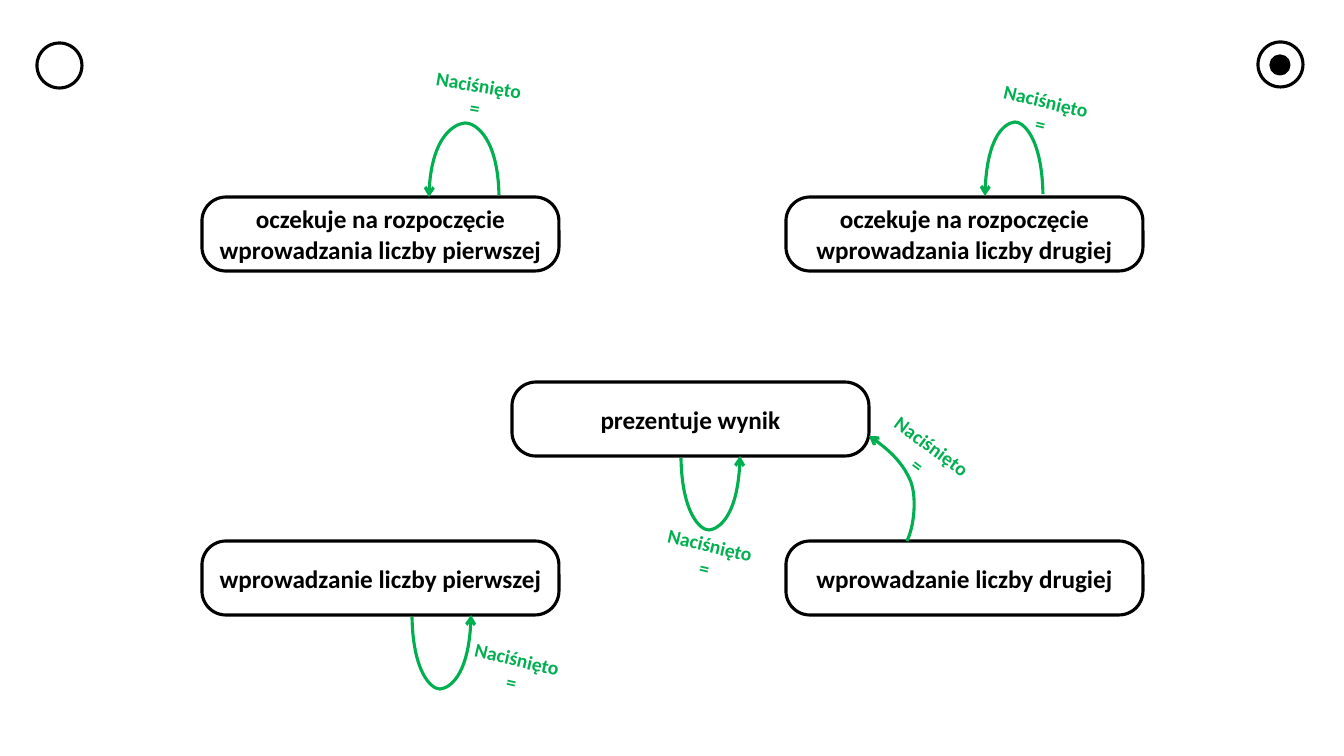
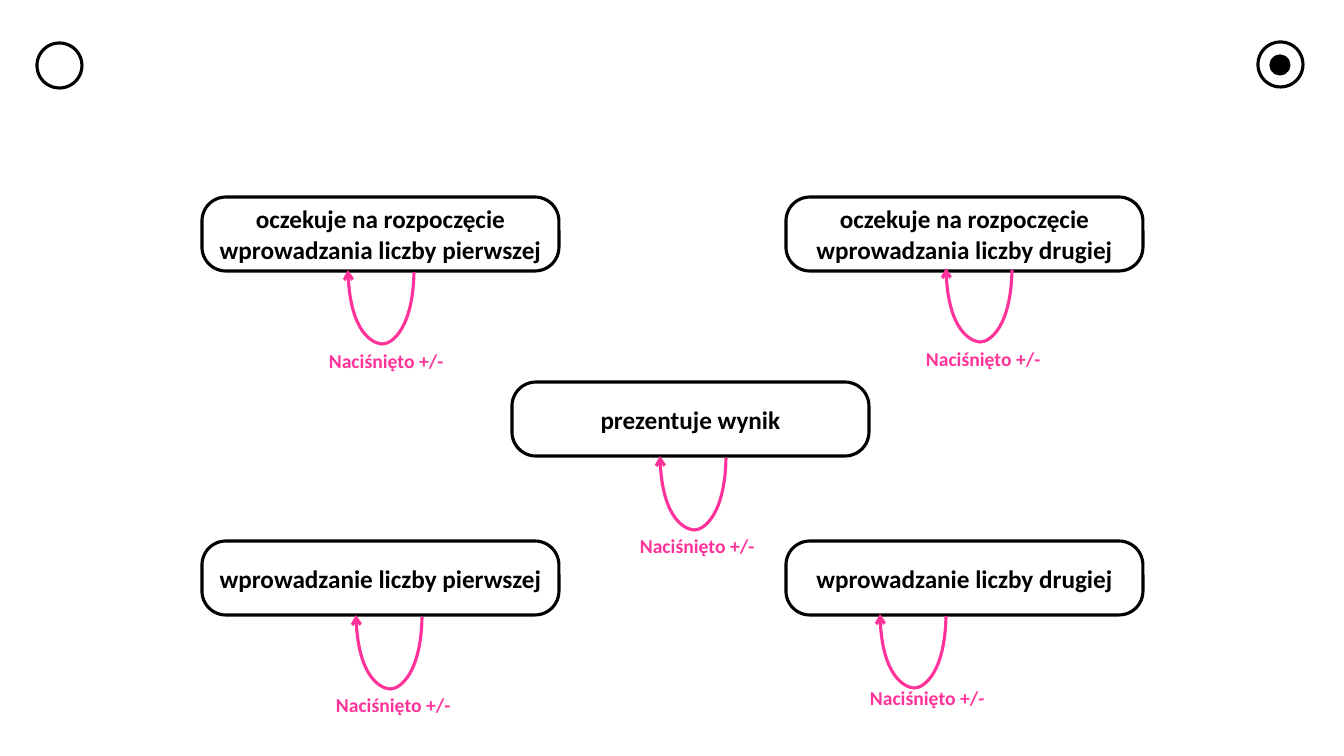
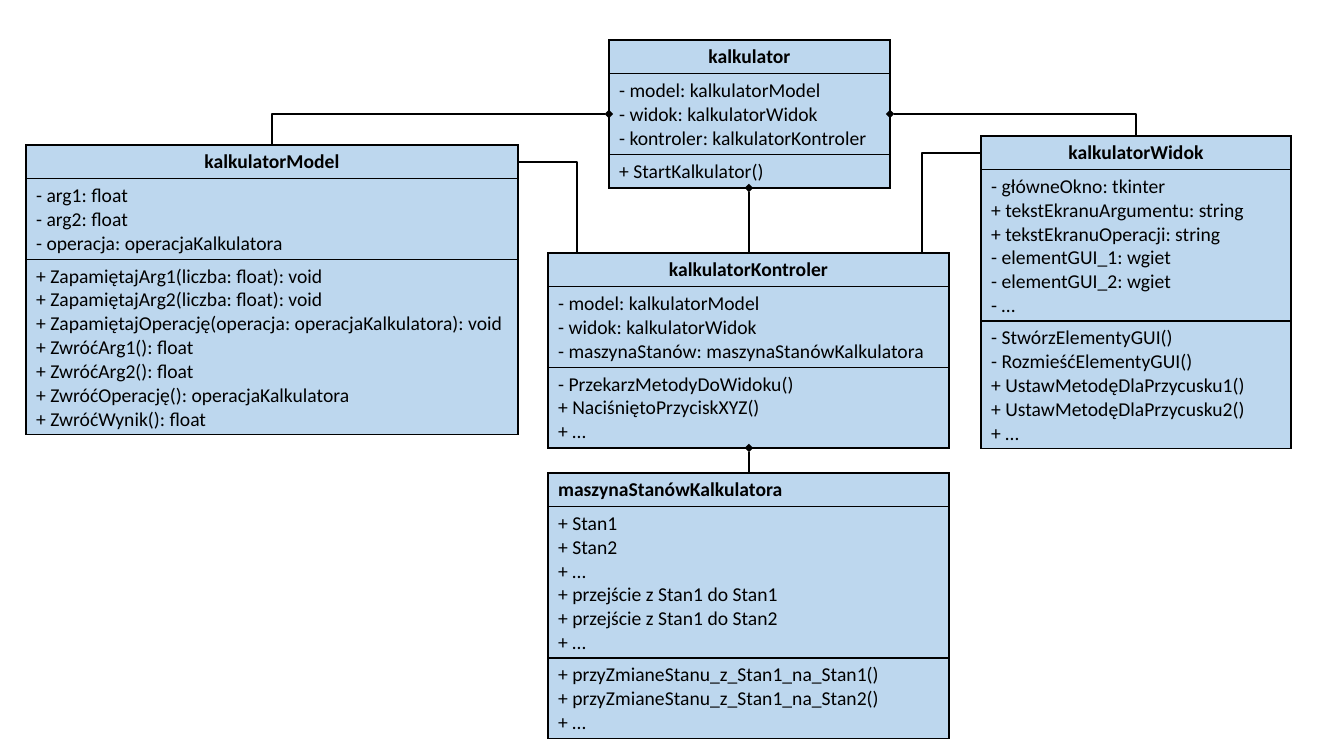
from lxml import etree
from pptx import Presentation
from pptx.dml.color import RGBColor
from pptx.enum.shapes import MSO_CONNECTOR, MSO_SHAPE
from pptx.enum.text import MSO_ANCHOR, MSO_AUTO_SIZE, PP_ALIGN
from pptx.oxml.ns import qn
from pptx.util import Emu, Pt

SCALE = 914400 / 100.8
FONT = "Calibri"
COLOURS = {"ink": "000000", "equals": "00B050", "sign": "FF3399", "class": "BDD7EE"}
ELLIPSE, ROUNDED = MSO_SHAPE.OVAL, MSO_SHAPE.ROUNDED_RECTANGLE
STRAIGHT, ELBOW = MSO_CONNECTOR.STRAIGHT, MSO_CONNECTOR.ELBOW
LEFT, CENTER = PP_ALIGN.LEFT, PP_ALIGN.CENTER
MIDDLE, GROW = MSO_ANCHOR.MIDDLE, MSO_AUTO_SIZE.SHAPE_TO_FIT_TEXT

STATE_SIZE = (357, 74)
STATES = [
    (202, 197, "oczekuje na rozpoczęcie wprowadzania liczby pierwszej"),
    (202, 541, "wprowadzanie liczby pierwszej"),
    (786, 541, "wprowadzanie liczby drugiej"),
    (786, 197, "oczekuje na rozpoczęcie wprowadzania liczby drugiej"),
    (512, 382, "prezentuje wynik"),
]
LOOP_PROFILE = [(0, 2), (0.01, 57), (0.32, 74), (0.48, 74), (0.65, 73), (0.99, 59), (1, 0)]
UP, DOWN = -1, 1

EQUALS_LOOPS = [
    (499, 429, 197, UP),
    (1043, 985, 196, UP),
    (412, 471, 615, DOWN),
    (681, 740, 456, DOWN),
]
RESULT_CURVE = [(907, 541), (914, 527), (917, 499), (911, 482), (904, 465), (888, 448), (869, 436)]
EQUALS_LABELS = [
    ((382, 68, 190, 57), 9.6),
    ((856, 427, 138, 57), 36.5),
    ((456, 642, 117, 57), 13.2),
    ((985, 84, 117, 57), 13.2),
    ((649, 528, 117, 57), 13.2),
]

SIGN_LOOP_WIDTH = 66
SIGN_LOOPS = [
    (356, 615, 326, 688),
    (880, 614, 860, 681),
    (348, 270, 319, 344),
    (660, 456, 630, 529),
    (946, 268, 916, 342),
]

CLASSES = [
    ((609, 40, 281, 148), "kalkulator", CENTER,
     ["- model: kalkulatorModel", "- widok: kalkulatorWidok",
      "- kontroler: kalkulatorKontroler"],
     ["+ StartKalkulator()"]),
    ((548, 253, 401, 195), "kalkulatorKontroler", CENTER,
     ["- model: kalkulatorModel", "- widok: kalkulatorWidok",
      "- maszynaStanów: maszynaStanówKalkulatora"],
     ["- PrzekarzMetodyDoWidoku()", "+ NaciśniętoPrzyciskXYZ()", "+ …"]),
    ((26, 145, 492, 289), "kalkulatorModel", CENTER,
     ["- arg1: float", "- arg2: float", "- operacja: operacjaKalkulatora"],
     ["+ ZapamiętajArg1(liczba: float): void", "+ ZapamiętajArg2(liczba: float): void",
      "+ ZapamiętajOperację(operacja: operacjaKalkulatora): void",
      "+ ZwróćArg1(): float", "+ ZwróćArg2(): float",
      "+ ZwróćOperację(): operacjaKalkulatora", "+ ZwróćWynik(): float"]),
    ((981, 136, 310, 313), "kalkulatorWidok", CENTER,
     ["- główneOkno: tkinter", "+ tekstEkranuArgumentu: string",
      "+ tekstEkranuOperacji: string", "- elementGUI_1: wgiet", "- elementGUI_2: wgiet", "- …"],
     ["- StwórzElementyGUI()", "- RozmieśćElementyGUI()", "+ UstawMetodęDlaPrzycusku1()",
      "+ UstawMetodęDlaPrzycusku2()", "+ …"]),
    ((548, 473, 401, 265), "maszynaStanówKalkulatora", LEFT,
     ["+ Stan1", "+ Stan2", "+ …", "+ przejście z Stan1 do Stan1",
      "+ przejście z Stan1 do Stan2", "+ …"],
     ["+ przyZmianeStanu_z_Stan1_na_Stan1()", "+ przyZmianeStanu_z_Stan1_na_Stan2()", "+ …"]),
]
RELATIONS = [
    (STRAIGHT, (749, 188, 749, 253), True),
    (ELBOW, (609, 114, 272, 145), True),
    (ELBOW, (890, 114, 1136, 136), True),
    (STRAIGHT, (749, 448, 749, 473), True),
    (ELBOW, (518, 162, 577, 253), False),
    (ELBOW, (981, 153, 922, 253), False),
]


def emu(*pixels):
    return [Emu(round(pixel * SCALE)) for pixel in pixels]


def colour(name):
    return RGBColor.from_string(COLOURS[name])


def draw_line(line, width, name="ink", **ends):
    line.width = Pt(width)
    line.fill.solid()
    line.fill.fore_color.rgb = colour(name)
    outline = line.fill._xPr
    for end, kind in ends.items():
        etree.SubElement(outline, qn(f"a:{end}"), type=kind)


def write(frame, lines, size, name="ink", bold=True, align=CENTER):
    frame.word_wrap = True
    for index, words in enumerate(lines):
        para = frame.paragraphs[0] if index == 0 else frame.add_paragraph()
        para.alignment = align
        span = para.add_run()
        span.text = words
        span.font.name = FONT
        span.font.size = Pt(size)
        span.font.bold = bold
        span.font.color.rgb = colour(name)


def add_outline(shapes, kind, box):
    shape = shapes.add_shape(kind, *emu(*box))
    shape.shadow.inherit = False
    shape.fill.background()
    draw_line(shape.line, 2.25)
    return shape


def add_state(page, left, top, words):
    state = add_outline(page.shapes, ROUNDED, (left, top, *STATE_SIZE))
    state.adjustments[0] = 0.324
    state.text_frame.vertical_anchor = MIDDLE
    write(state.text_frame, [words], 18)


def add_states(page):
    for state in STATES:
        add_state(page, *state)
    add_outline(page.shapes, ELLIPSE, (37, 43, 45, 45))
    final = page.shapes.add_group_shape()
    add_outline(final.shapes, ELLIPSE, (1258, 42, 45, 45))
    dot = add_outline(final.shapes, ELLIPSE, (1271, 56, 18, 18))
    dot.fill.solid()
    dot.fill.fore_color.rgb = colour("ink")


def add_curve(page, points, name):
    builder = page.shapes.build_freeform(*points[0], scale=SCALE)
    builder.add_line_segments(points[1:], close=False)
    curve = builder.convert_to_shape()
    steps = list(curve._element.iter(qn("a:lnTo")))
    for first in range(0, len(steps), 3):
        bend = etree.Element(qn("a:cubicBezTo"))
        steps[first].addprevious(bend)
        for step in steps[first:first + 3]:
            bend.append(step[0])
            step.getparent().remove(step)
    curve.shadow.inherit = False
    curve.fill.background()
    draw_line(curve.line, 2.25, name, tailEnd="arrow")


def add_loop(page, start, end, edge, side, name):
    points = [(round(start + (end - start) * along), edge + side * depth)
              for along, depth in LOOP_PROFILE]
    add_curve(page, points, name)


def add_label(page, box, lines, name, align, turn=0):
    label = page.shapes.add_textbox(*emu(*box))
    label.rotation = turn
    write(label.text_frame, lines, 14, name, align=align)
    label.text_frame.auto_size = GROW


def add_equals_page(page):
    add_states(page)
    for loop in EQUALS_LOOPS:
        add_loop(page, *loop, "equals")
    add_curve(page, RESULT_CURVE, "equals")
    for box, turn in EQUALS_LABELS:
        add_label(page, box, ["Naciśnięto", "="], "equals", CENTER, turn)


def add_sign_page(page):
    add_states(page)
    for end, edge, left, top in SIGN_LOOPS:
        add_loop(page, end + SIGN_LOOP_WIDTH, end, edge, DOWN, "sign")
        add_label(page, (left, top, 198, 34), ["Naciśnięto +/-"], "sign", LEFT)


def add_borders(cell):
    properties = cell._tc.get_or_add_tcPr()
    for index, side in enumerate(("lnL", "lnR", "lnT", "lnB")):
        border = etree.Element(qn(f"a:{side}"), w=str(Pt(1)))
        fill = etree.SubElement(border, qn("a:solidFill"))
        etree.SubElement(fill, qn("a:srgbClr"), val=COLOURS["ink"])
        properties.insert(index, border)


def add_class(page, box, name, align, attributes, operations):
    frame = page.shapes.add_table(3, 1, *emu(*box))
    table = frame.table
    table.first_row = table.horz_banding = False
    sections = [([name], True, align), (attributes, False, LEFT), (operations, False, LEFT)]
    for row, (lines, bold, alignment) in zip(table.rows, sections):
        row.height = emu(33)[0]
        cell = row.cells[0]
        cell.fill.solid()
        cell.fill.fore_color.rgb = colour("class")
        add_borders(cell)
        write(cell.text_frame, lines, 14, bold=bold, align=alignment)
    frame.height = emu(box[3])[0]


def add_relation(page, kind, ends, owned):
    relation = page.shapes.add_connector(kind, *emu(*ends))
    if kind == ELBOW:
        relation._element.spPr.find(qn("a:prstGeom")).set("prst", "bentConnector2")
    marks = {"headEnd": "diamond"} if owned else {}
    draw_line(relation.line, 2, **marks)
    etree.SubElement(relation._element.spPr, qn("a:effectLst"))


def add_class_page(page):
    for entry in CLASSES:
        add_class(page, *entry)
    for relation in RELATIONS:
        add_relation(page, *relation)


deck = Presentation()
deck.slide_width, deck.slide_height = emu(1344, 756)
for fill_page in (add_equals_page, add_sign_page, add_class_page):
    fill_page(deck.slides.add_slide(deck.slide_layouts[6]))
deck.save("out.pptx")
